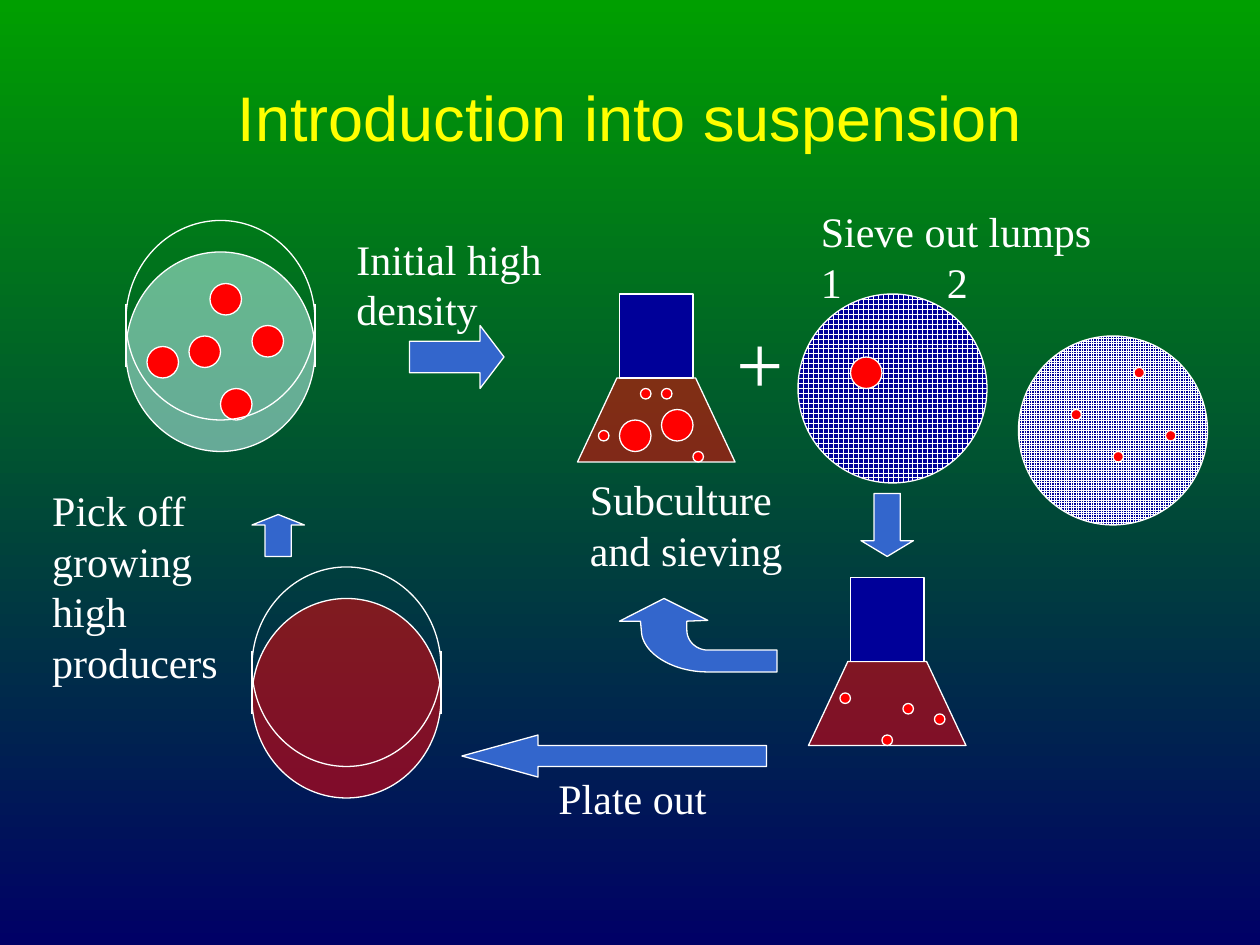
import pptx
import pptx.dml.color
import pptx.enum.dml
import pptx.enum.shapes
import pptx.enum.text
import pptx.oxml.ns
import pptx.util
from lxml import etree

Pt = pptx.util.Pt
SHAPES = pptx.enum.shapes.MSO_SHAPE
PATTERNS = pptx.enum.dml.MSO_PATTERN
ANCHORS = pptx.enum.text.MSO_ANCHOR
ALIGNMENTS = pptx.enum.text.PP_ALIGN
qn = pptx.oxml.ns.qn

COLORS = {
    "top": "009F00", "bottom": "000066", "title": "FFFF00", "white": "FFFFFF",
    "medium": "CCFFFF", "red": "FF0000", "navy": "000099", "arrow": "3366CC",
}
DISH_WIDTH, DISH_HEIGHT = 108, 114
SIEVE = 108
LUMP, CELL = 18, 6

DISH_COLONIES = [(120, 162), (108, 192), (144, 186), (126, 222), (84, 198)]
LUMPS = [(486, 204), (354, 240), (378, 234)]
CELLS = [
    (612, 234), (666, 246), (636, 258), (648, 210),
    (342, 246), (396, 258), (366, 222), (378, 222),
    (480, 396), (534, 408), (504, 420), (516, 402),
]
ARROWS = [
    (SHAPES.RIGHT_ARROW, (234, 186, 54, 36), 0.38),
    (SHAPES.DOWN_ARROW, (492, 282, 30, 36), 0.3),
    (SHAPES.UP_ARROW, (144, 294, 30, 24), 0.25),
    (SHAPES.LEFT_ARROW, (264, 420, 174, 24), 1.81),
]
LABELS = [
    (["+"], (414, 174, 31, 65), 48),
    (["Plate out"], (312, 438, 110, 36), 24),
    (["Sieve out lumps", "1\t\t2"], (462, 114, 186, 65), 24),
    (["Pick off", "growing", "high", "producers"], (22.8, 273.6, 114, 122.4), 24),
    (["Initial high", "density"], (196.6, 129.6, 124, 65), 24),
    (["Subculture", "and sieving"], (330, 267.1, 130, 65), 24),
]


def rgb(name):
    return pptx.dml.color.RGBColor.from_string(COLORS[name])


def style(shape, fill=None, alpha=None):
    """Give a shape a thin white outline and a plain, translucent or empty fill."""
    shape.shadow.inherit = False
    shape.line.color.rgb = rgb("white")
    shape.line.width = Pt(0.75)
    if fill is None:
        shape.fill.background()
        return
    shape.fill.solid()
    shape.fill.fore_color.rgb = rgb(fill)
    if alpha:
        color = shape.fill._xPr.find(qn("a:solidFill"))[0]
        etree.SubElement(color, qn("a:alpha")).set("val", str(alpha * 1000))


def add_shape(slide, kind, frame, fill=None, alpha=None):
    shape = slide.shapes.add_shape(kind, *map(Pt, frame))
    style(shape, fill, alpha)
    return shape


def add_outline(slide, points, fill, alpha=None):
    """Draw a closed freeform through points."""
    start, *others = [(Pt(x), Pt(y)) for x, y in points]
    builder = slide.shapes.build_freeform(*start)
    builder.add_line_segments(others, close=True)
    style(builder.convert_to_shape(), fill, alpha)


def add_dots(slide, places, size):
    for left, top in places:
        add_shape(slide, SHAPES.OVAL, (left, top, size, size), "red")


def add_dish(slide, left, top, fill, colonies=()):
    """Draw a culture dish: filled base, colonies, clear lid and two sides."""
    add_shape(slide, SHAPES.OVAL, (left, top + 18, DISH_WIDTH, DISH_HEIGHT), fill, 50)
    add_dots(slide, colonies, LUMP)
    add_shape(slide, SHAPES.OVAL, (left, top, DISH_WIDTH, DISH_HEIGHT))
    for x in (left, left + DISH_WIDTH):
        side = slide.shapes.add_connector(
            pptx.enum.shapes.MSO_CONNECTOR.STRAIGHT,
            Pt(x), Pt(top + 48), Pt(x), Pt(top + 84))
        side.line.color.rgb = rgb("white")
        side.line.width = Pt(0.75)
        etree.SubElement(side._element.spPr, qn("a:effectLst"))


def add_flask(slide, left, top):
    shoulder, base = top + 48, top + 96
    add_outline(slide, [(left + 22.5, shoulder), (left + 67.5, shoulder),
                        (left + 90, base), (left, base)], "red", 50)
    add_shape(slide, SHAPES.RECTANGLE, (left + 24, top, 42, 48), "navy")


def add_sieve(slide, left, top, pattern):
    sieve = add_shape(slide, SHAPES.OVAL, (left, top, SIEVE, SIEVE))
    sieve.fill.patterned()
    sieve.fill.pattern = pattern
    sieve.fill.fore_color.rgb = rgb("white")
    sieve.fill.back_color.rgb = rgb("navy")


def bezier(a, b, c, d, steps=24):
    """Return points along a cubic curve, both ends included."""
    points = []
    for step in range(steps + 1):
        t = step / steps
        weights = ((1 - t) ** 3, 3 * t * (1 - t) ** 2, 3 * t * t * (1 - t), t ** 3)
        points.append(tuple(sum(w * p[axis] for w, p in zip(weights, (a, b, c, d)))
                            for axis in (0, 1)))
    return points


def add_return_arrow(slide):
    outer = bezier((366.5, 360), (366.5, 373), (384, 384), (404.5, 384))
    inner = bezier((404.5, 371.5), (398, 371.5), (392.5, 366.5), (392.5, 360))
    add_outline(slide, [(379.5, 342), (354, 355), (366, 355), *outer,
                        (444, 384), (444, 371.5), *inner,
                        (392.5, 355), (404.5, 354.5)], "arrow")


def add_text(slide, lines, frame, size, font="Times New Roman", color="white"):
    box = slide.shapes.add_textbox(*map(Pt, frame))
    box.text_frame.word_wrap = True
    box.text_frame.text = "\n".join(lines)
    for para in box.text_frame.paragraphs:
        para.line_spacing = Pt(size * 1.2)
        for span in para.runs:
            span.font.name = font
            span.font.size = Pt(size)
            span.font.color.rgb = rgb(color)
    return box


def add_title(slide):
    box = add_text(slide, ["Introduction into suspension"], (36, 21.6, 648, 90),
                   36, "Arial", "title")
    box.text_frame.vertical_anchor = ANCHORS.MIDDLE
    para = box.text_frame.paragraphs[0]
    para.alignment = ALIGNMENTS.CENTER
    para.line_spacing = 1.0


def paint_background(slide):
    fill = slide.background.fill
    fill.gradient()
    fill.gradient_angle = 270
    for stop, name, position in zip(fill.gradient_stops, ("top", "bottom"), (0, 1)):
        stop.color.rgb = rgb(name)
        stop.position = position


def main():
    deck = pptx.Presentation()
    deck.slide_width, deck.slide_height = Pt(720), Pt(540)
    slide = deck.slides.add_slide(deck.slide_layouts[6])
    paint_background(slide)
    add_title(slide)
    add_dish(slide, 72, 126, "medium", DISH_COLONIES)
    add_dish(slide, 144, 324, "red")
    add_flask(slide, 330, 168)
    add_flask(slide, 462, 330)
    add_sieve(slide, 456, 168, PATTERNS.LARGE_GRID)
    add_sieve(slide, 582, 192, PATTERNS.SMALL_GRID)
    add_dots(slide, LUMPS, LUMP)
    add_dots(slide, CELLS, CELL)
    for kind, frame, head in ARROWS:
        arrow = add_shape(slide, kind, frame, "arrow")
        arrow.adjustments[1] = head
    add_return_arrow(slide)
    for lines, frame, size in LABELS:
        add_text(slide, lines, frame, size)
    deck.save("out.pptx")


if __name__ == "__main__":
    main()
